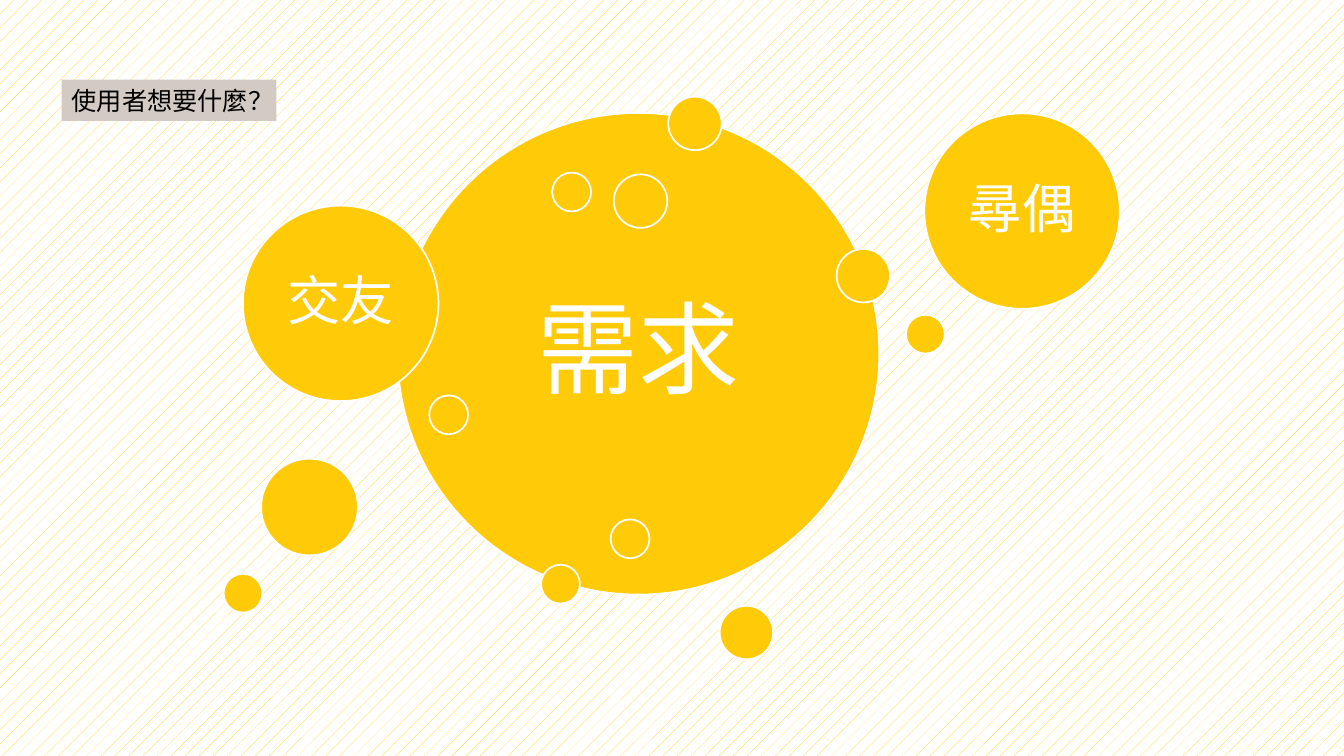
from lxml.etree import SubElement
from pptx import Presentation
from pptx.dml.color import RGBColor
from pptx.enum.dml import MSO_PATTERN
from pptx.enum.shapes import MSO_SHAPE
from pptx.enum.text import MSO_ANCHOR, MSO_AUTO_SIZE, PP_ALIGN
from pptx.oxml.ns import qn
from pptx.util import Inches, Pt

YELLOW, WHITE, BLACK, TAUPE = "FFCA08", "FFFFFF", "000000", "D3CAC4"
SANS, SLAB = "Noto Sans CJK SC", "Roboto Slab"
HUGE, LARGE, MEDIUM, SMALL, TINY = 35.85, 14.55, 7.2, 3.98, 2.89

BUBBLES = [
    (47.5, 46.8, HUGE, "需求", 72),
    (51.71, 16.33, SMALL, "", 0),
    (41.7, 77.27, TINY, "", 0),
    (68.85, 44.2, TINY, "", 0),
    (55.54, 83.67, SMALL, "", 0),
    (42.53, 25.4, TINY, "", 0),
    (33.38, 54.87, TINY, "", 0),
    (25.35, 40.13, LARGE, "交友", 38),
    (47.66, 26.6, SMALL, "", 0),
    (23.03, 67.07, MEDIUM, "", 0),
    (76.05, 27.93, LARGE, "尋偶", 38),
    (64.24, 36.47, SMALL, "", 0),
    (18.08, 78.47, TINY, "", 0),
    (46.88, 71.27, TINY, "", 0),
]


def rgb(color):
    return RGBColor.from_string(color)


class BubbleSlide:
    """Draws one slide, with lengths in percent of its width and height."""

    def __init__(self, prs):
        self.w, self.h = prs.slide_width / 100, prs.slide_height / 100
        self.s = prs.slides.add_slide(prs.slide_layouts[5])

    def background(self, fore, back):
        fill = self.s.background.fill
        fill.patterned()
        fill.pattern = MSO_PATTERN.PERCENT_5
        fill.fore_color.rgb, fill.back_color.rgb = rgb(fore), rgb(back)

    def text(self, sp, text, size, font, color, align, insets):
        tf = sp.text_frame
        tf.word_wrap, tf.auto_size = True, MSO_AUTO_SIZE.NONE
        tf.vertical_anchor = MSO_ANCHOR.MIDDLE
        tf.margin_left, tf.margin_top, tf.margin_right, tf.margin_bottom = map(Inches, insets)
        p = tf.paragraphs[0]
        p.alignment = align
        r = p.add_run()
        r.text = text
        r.font.size, r.font.name = Pt(size), font
        r.font.color.rgb = rgb(color)
        SubElement(r.font._element, qn("a:ea"), typeface=font)
        return p

    def title(self, x, y, w, h, text):
        sp = self.s.shapes.title
        sp.left, sp.top = int(x * self.w), int(y * self.h)
        sp.width, sp.height = int(w * self.w), int(h * self.h)
        sp.fill.solid()
        sp.fill.fore_color.rgb = rgb(TAUPE)
        self.text(sp, text, 18, SLAB, BLACK, PP_ALIGN.LEFT, (0.1, 0, 0, 0))

    def bubble(self, cx, cy, d, text, size):
        d = int(d * self.w)
        left, top = int(cx * self.w - d / 2), int(cy * self.h - d / 2)
        sp = self.s.shapes.add_shape(MSO_SHAPE.OVAL, left, top, d, d)
        sp.shadow.inherit = False
        sp.fill.solid()
        sp.fill.fore_color.rgb = rgb(YELLOW)
        sp.line.color.rgb, sp.line.width = rgb(WHITE), Pt(1.25)
        if text:
            p = self.text(sp, text, size, SANS, WHITE, PP_ALIGN.CENTER, (0.1,) * 4)
            p.line_spacing = 0.9


def main():
    prs = Presentation()
    prs.slide_width, prs.slide_height = Inches(13.33), Inches(7.5)
    slide = BubbleSlide(prs)
    slide.background(YELLOW, WHITE)
    for bubble in BUBBLES:
        slide.bubble(*bubble)
    slide.title(4.58, 10.53, 15.98, 5.47, "使用者想要什麼？")
    prs.save("out.pptx")


if __name__ == "__main__":
    main()
